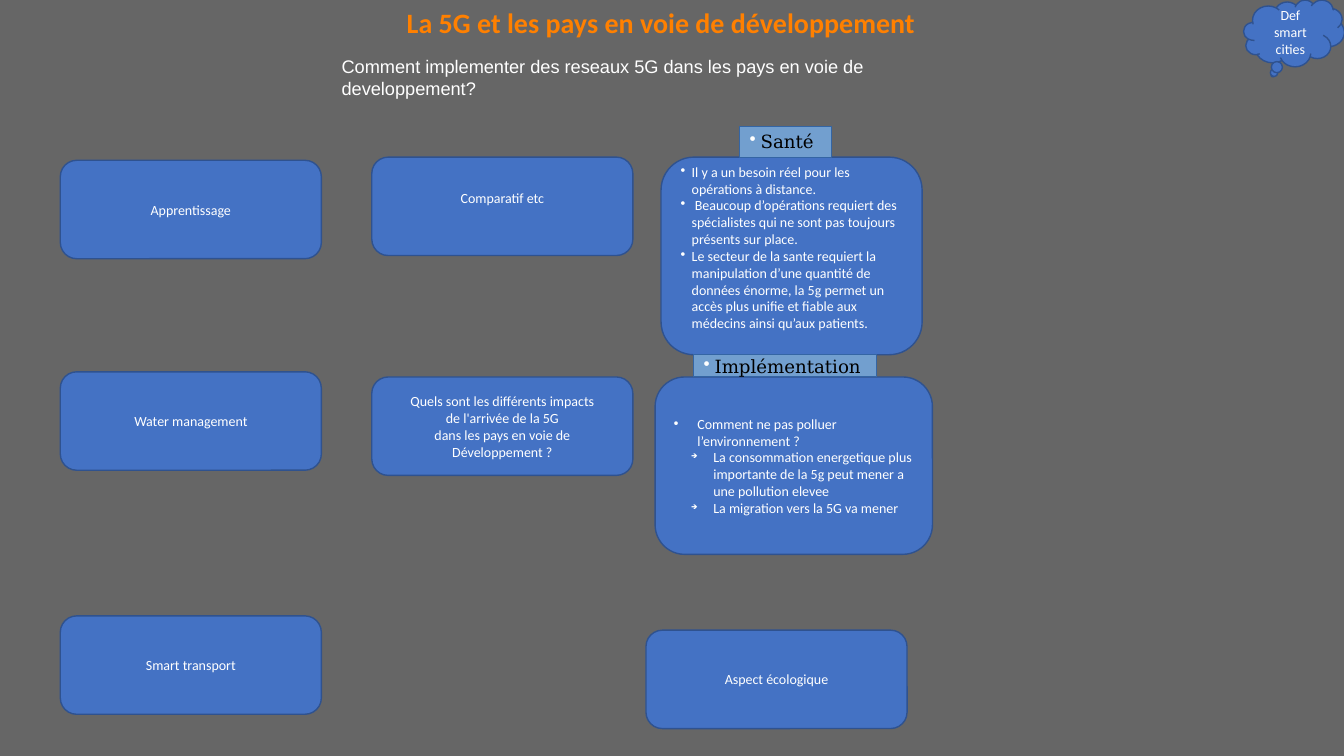
from dataclasses import dataclass
from typing import Optional

from lxml.etree import SubElement
from pptx import Presentation
from pptx.dml.color import RGBColor
from pptx.enum.shapes import MSO_SHAPE
from pptx.enum.text import MSO_ANCHOR, PP_ALIGN
from pptx.oxml.ns import qn
from pptx.util import Cm, Pt


@dataclass(frozen=True)
class Theme:
    background: str = "666666"
    box: str = "4472C4"
    box_line: str = "2F528F"
    label: str = "729FCF"
    label_line: str = "3465A4"
    title: str = "FF8000"
    light: str = "FFFFFF"
    dark: str = "000000"
    body_font: str = "Calibri"
    label_font: str = "DejaVu Serif"
    question_font: str = "Arial"
    title_size: float = 20
    heading_size: float = 13
    body_size: float = 10


@dataclass(frozen=True)
class Bullet:
    char: str
    left: float  # cm
    indent: float  # cm
    percent: Optional[int] = None


@dataclass(frozen=True)
class Box:
    left: float
    top: float
    lines: tuple[str, ...]
    width: float = 6.58
    height: float = 2.48
    bullets: tuple[Bullet, ...] = ()
    bottom: float = 0.13
    kind: MSO_SHAPE = MSO_SHAPE.ROUNDED_RECTANGLE


@dataclass(frozen=True)
class Label:
    left: float
    top: float
    width: float
    height: float
    text: str


THEME = Theme()
DOT = Bullet("•", 0.28, -0.48)
POINT = Bullet("●", 0.6, -0.6, 45)
ARROW = Bullet("➔", 1.0, -0.56, 45)
COL_1, COL_2 = 1.52, 9.37
ROW_1, ROW_2 = 3.96, 9.5
EXTRA_BOTTOM = 0.56  # lifts the text by half a line

BOXES = (
    # Left column: uses
    Box(COL_1, 4.04, ("Apprentissage",)),
    Box(COL_1, 9.37, ("Water management",)),
    Box(COL_1, 15.52, ("Smart transport",)),
    # Middle column: comparison and impacts
    Box(COL_2, ROW_1, ("Comparatif etc",), bottom=EXTRA_BOTTOM),
    Box(COL_2, ROW_2, (
        "Quels sont les différents impacts",
        "de l'arrivée de la 5G",
        "dans les pays en voie de",
        "Développement ?",
    )),
    # Right column: health, implementation, ecology
    Box(16.66, ROW_1, (
        "Il y a un besoin réel pour les opérations à distance.",
        " Beaucoup d’opérations requiert des spécialistes qui ne sont pas "
        "toujours présents sur place.",
        "Le secteur de la sante requiert la manipulation d’une quantité de "
        "données énorme, la 5g permet un accès plus unifie et fiable aux "
        "médecins ainsi qu’aux patients.",
    ), height=4.98, bullets=(DOT, DOT, DOT), bottom=EXTRA_BOTTOM),
    Box(16.51, ROW_2, (
        "Comment ne pas polluer l’environnement ?",
        "La consommation energetique plus importante de la 5g peut mener a "
        "une pollution elevee",
        "La migration vers la 5G va mener",
    ), width=6.99, height=4.47, bullets=(POINT, ARROW, ARROW)),
    Box(16.28, 15.88, ("Aspect écologique",)),
    # Corner cloud
    Box(31.34, 0, ("Def smart cities",), width=2.54, height=1.68,
        kind=MSO_SHAPE.CLOUD_CALLOUT),
)

LABELS = (
    Label(17.48, 8.94, 4.62, 0.56, "Implémentation"),
    Label(18.64, 3.18, 2.31, 0.78, "Santé"),
)


def add_bullet(p, bullet: Bullet) -> None:
    pPr = p._p.get_or_add_pPr()
    pPr.set("marL", str(Cm(bullet.left)))
    pPr.set("indent", str(Cm(bullet.indent)))
    color = SubElement(pPr, qn("a:buClr"))
    SubElement(color, qn("a:srgbClr")).set("val", THEME.light)
    if bullet.percent:
        SubElement(pPr, qn("a:buSzPct")).set("val", str(bullet.percent * 1000))
    SubElement(pPr, qn("a:buChar")).set("char", bullet.char)


def write(sp, lines: tuple[str, ...], *, size: float = THEME.body_size,
          font: str = THEME.body_font, color: str = THEME.light,
          bold: bool = False, align: PP_ALIGN = PP_ALIGN.LEFT,
          anchor: MSO_ANCHOR = MSO_ANCHOR.MIDDLE, bottom: float = 0.13,
          bullets: tuple[Bullet, ...] = ()) -> None:
    tf = sp.text_frame
    tf.word_wrap = True
    tf.vertical_anchor = anchor
    tf.margin_left = tf.margin_right = Cm(0.25)
    tf.margin_top, tf.margin_bottom = Cm(0.13), Cm(bottom)
    for i, line in enumerate(lines):
        p = tf.add_paragraph() if i else tf.paragraphs[0]
        p.alignment = align
        if bullets:
            add_bullet(p, bullets[i])
        r = p.add_run()
        r.text = line
        r.font.name, r.font.size, r.font.bold = font, Pt(size), bold
        r.font.color.rgb = RGBColor.from_string(color)


def add_filled(slide, kind: MSO_SHAPE, item: Box | Label, fill: str,
               line: str, line_width: float):
    sp = slide.shapes.add_shape(kind, Cm(item.left), Cm(item.top),
                                Cm(item.width), Cm(item.height))
    sp.shadow.inherit = False
    sp.fill.solid()
    sp.fill.fore_color.rgb = RGBColor.from_string(fill)
    sp.line.color.rgb = RGBColor.from_string(line)
    sp.line.width = Pt(line_width)
    return sp


def add_box(slide, box: Box) -> None:
    sp = add_filled(slide, box.kind, box, THEME.box, THEME.box_line, 1)
    align = PP_ALIGN.LEFT if box.bullets else PP_ALIGN.CENTER
    write(sp, box.lines, align=align, bottom=box.bottom, bullets=box.bullets)


def add_label(slide, label: Label) -> None:
    sp = add_filled(slide, MSO_SHAPE.RECTANGLE, label, THEME.label,
                    THEME.label_line, 0)
    write(sp, (label.text,), size=THEME.heading_size, font=THEME.label_font,
          color=THEME.dark, align=PP_ALIGN.JUSTIFY, bullets=(DOT,))


def main() -> None:
    prs = Presentation()
    prs.slide_width, prs.slide_height = Cm(33.87), Cm(19.05)
    slide = prs.slides.add_slide(prs.slide_layouts[6])
    slide.background.fill.solid()
    slide.background.fill.fore_color.rgb = RGBColor.from_string(THEME.background)

    # Title and question
    title = slide.shapes.add_textbox(Cm(10), Cm(0), Cm(13.82), Cm(1.27))
    write(title, ("La 5G et les pays en voie de développement",),
          size=THEME.title_size, color=THEME.title, bold=True,
          anchor=MSO_ANCHOR.TOP)
    question = slide.shapes.add_textbox(Cm(8.36), Cm(1.27), Cm(17.1), Cm(1.27))
    write(question, ("Comment implementer des reseaux 5G dans les pays en "
                     "voie de developpement?",),
          size=THEME.heading_size, font=THEME.question_font,
          anchor=MSO_ANCHOR.TOP)

    # Topic boxes, then the headings above them
    for box in BOXES:
        add_box(slide, box)
    for label in LABELS:
        add_label(slide, label)

    prs.save("out.pptx")


if __name__ == "__main__":
    main()
